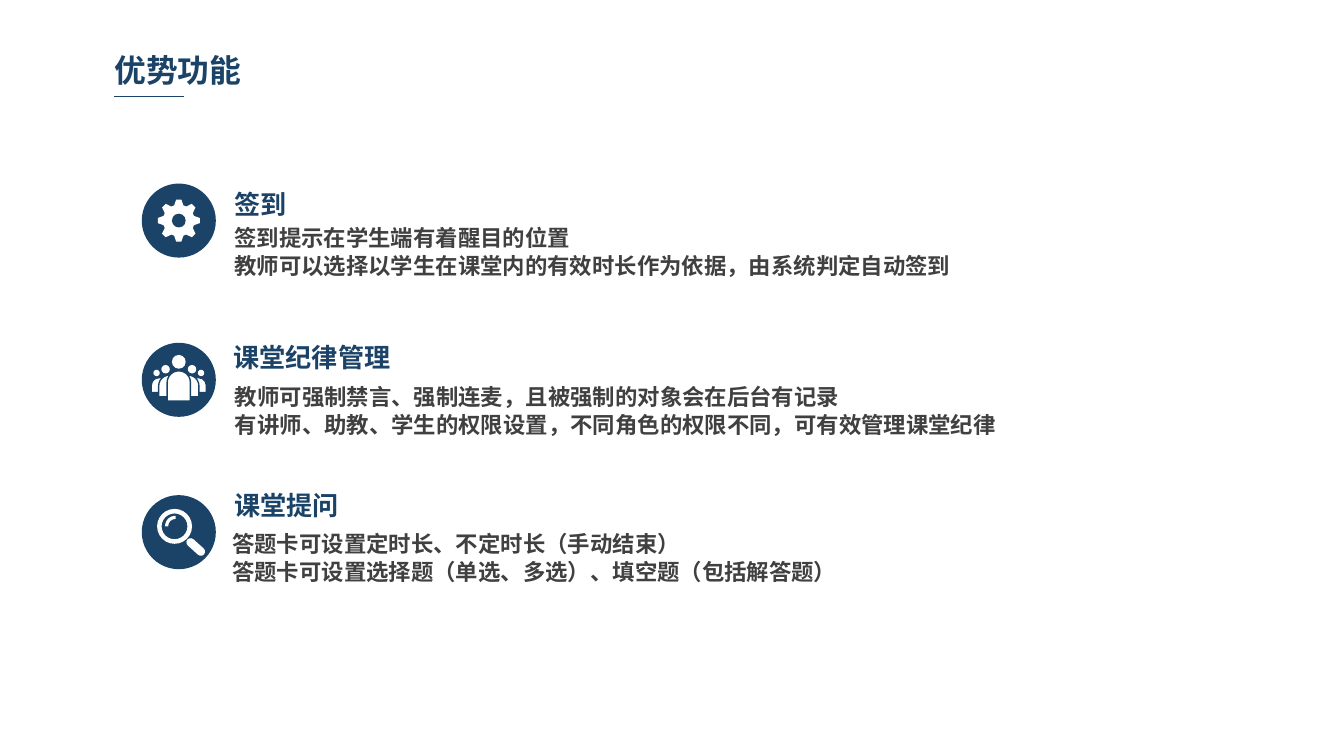
"""Build a slide of three classroom features with icons."""
import math

import lxml.etree
import pptx
import pptx.dml.color
import pptx.enum.shapes
import pptx.enum.text
import pptx.oxml.ns
import pptx.util

Cm = pptx.util.Cm
Pt = pptx.util.Pt
SHAPE = pptx.enum.shapes.MSO_SHAPE
qn = pptx.oxml.ns.qn

FONT = "Noto Sans CJK SC"
NAVY, WHITE, GREY = "1B4367", "FFFFFF", "404040"
DISC_R = 0.7
DISC_X = 3.38


def rgb(color):
    """Return a colour object for a hex string."""
    return pptx.dml.color.RGBColor.from_string(color)


def paint(sp, color, outline=None):
    """Give a shape a plain fill, an optional outline and no shadow."""
    sp.shadow.inherit = False
    sp.fill.solid()
    sp.fill.fore_color.rgb = rgb(color)
    if outline:
        sp.line.color.rgb = rgb(outline)
        sp.line.width = Pt(0.75)
    else:
        sp.line.fill.background()
    return sp


def add_centred(shapes, kind, cx, cy, w, h, color=WHITE, outline=None):
    """Add a preset shape around a centre point."""
    sp = shapes.add_shape(kind, Cm(cx - w / 2), Cm(cy - h / 2), Cm(w), Cm(h))
    return paint(sp, color, outline)


def add_circle(shapes, cx, cy, r, color=WHITE):
    """Add a filled circle."""
    return add_centred(shapes, SHAPE.OVAL, cx, cy, 2 * r, 2 * r, color)


def add_polar(shapes, cx, cy, polar):
    """Add a white outline from angles in degrees and radii."""
    points = [(Cm(cx + r * math.cos(math.radians(a))), Cm(cy + r * math.sin(math.radians(a))))
              for a, r in polar]
    builder = shapes.build_freeform(*points[0])
    builder.add_line_segments(points[1:], close=True)
    paint(builder.convert_to_shape(), WHITE)


def add_gear(shapes, cx, cy):
    """Add an eight-toothed gear with a hole."""
    tooth = ((-17, 0.3), (-7, 0.4), (7, 0.4), (17, 0.3))
    add_polar(shapes, cx, cy, [(45 * i + a, r) for i in range(8) for a, r in tooth])
    add_circle(shapes, cx, cy, 0.13, NAVY)


def add_people(shapes, cx, cy):
    """Add five people, the outer ones behind the middle one."""
    for half, top, bottom in ((0.52, -0.04, 0.24), (0.38, -0.09, 0.32), (0.22, -0.17, 0.4)):
        sp = add_centred(shapes, SHAPE.ROUND_2_SAME_RECTANGLE, cx, cy + (top + bottom) / 2,
                         2 * half, bottom - top, outline=NAVY)
        sp.adjustments[0] = 0.5
    for dx, dy, r in ((0, -0.34, 0.13), (0.25, -0.2, 0.08), (0.42, -0.13, 0.06)):
        for x in sorted({-dx, dx}):
            add_circle(shapes, cx + x, cy + dy, r)


def add_magnifier(shapes, cx, cy):
    """Add a magnifying glass with a glint."""
    x, y = cx - 0.08, cy - 0.11
    add_centred(shapes, SHAPE.DONUT, x, y, 0.66, 0.66).adjustments[0] = 0.13
    handle = add_centred(shapes, SHAPE.ROUNDED_RECTANGLE, cx + 0.32, cy + 0.28, 0.42, 0.16)
    handle.adjustments[0] = 0.5
    handle.rotation = 42
    angles = range(180, 271, 10)
    add_polar(shapes, x + 0.02, y, [(a, 0.2) for a in angles] + [(a, 0.14) for a in angles[::-1]])


def add_icon(s, cy, draw):
    """Add a grouped icon on a navy disc."""
    shapes = s.shapes.add_group_shape().shapes
    add_circle(shapes, DISC_X, cy, DISC_R, NAVY)
    draw(shapes, DISC_X, cy)


def write(sp, lines, size, color, spacing=None, wrap=True):
    """Write bold paragraphs into a text shape."""
    tf = sp.text_frame
    tf.margin_left = tf.margin_right = Cm(0.19)
    tf.margin_top = tf.margin_bottom = Cm(0.1)
    tf.word_wrap = wrap
    tf.auto_size = pptx.enum.text.MSO_AUTO_SIZE.NONE
    tf.vertical_anchor = pptx.enum.text.MSO_ANCHOR.TOP
    tf.text = "\n".join(lines)
    for p in tf.paragraphs:
        p.alignment = pptx.enum.text.PP_ALIGN.LEFT
        if spacing:
            p.line_spacing = Pt(spacing)
        p.font.size = Pt(size)
        p.font.bold = True
        p.font.color.rgb = rgb(color)
        p.font.name = FONT
        r_pr = p._p.pPr.find(qn("a:defRPr"))
        lxml.etree.SubElement(r_pr, qn("a:ea")).set("typeface", FONT)


def add_text(s, x, y, w, h, lines, size, color, **options):
    """Add a text box."""
    write(s.shapes.add_textbox(Cm(x), Cm(y), Cm(w), Cm(h)), lines, size, color, **options)


def add_title(s, text):
    """Place the title and the short rule under it."""
    sp = s.shapes.title
    sp.left, sp.top, sp.width, sp.height = Cm(1.97), Cm(0.86), Cm(6.27), Cm(0.91)
    write(sp, [text], 17, NAVY)
    rule = s.shapes.add_connector(pptx.enum.shapes.MSO_CONNECTOR.STRAIGHT,
                                  Cm(2.16), Cm(1.82), Cm(3.48), Cm(1.82))
    rule.line.color.rgb = rgb(NAVY)
    rule.line.width = Pt(0.75)
    lxml.etree.SubElement(rule._element.spPr, qn("a:effectLst"))


def main():
    """Build and save the slide."""
    prs = pptx.Presentation()
    prs.slide_width, prs.slide_height = Cm(25.4), Cm(14.29)
    s = prs.slides.add_slide(prs.slide_layouts[5])
    add_title(s, "优势功能")
    features = (
        (add_gear, 4.17, "签到", (4.24, 3.46), (4.24, 4.11),
         ("签到提示在学生端有着醒目的位置",
          "教师可以选择以学生在课堂内的有效时长作为依据，由系统判定自动签到")),
        (add_people, 7.18, "课堂纪律管理", (4.22, 6.36), (4.25, 7.13),
         ("教师可强制禁言、强制连麦，且被强制的对象会在后台有记录",
          "有讲师、助教、学生的权限设置，不同角色的权限不同，可有效管理课堂纪律")),
        (add_magnifier, 10.06, "课堂提问", (4.24, 9.16), (4.2, 9.9),
         ("答题卡可设置定时长、不定时长（手动结束）",
          "答题卡可设置选择题（单选、多选）、填空题（包括解答题）")),
    )
    for draw, cy, heading, heading_at, body_at, lines in features:
        add_icon(s, cy, draw)
        add_text(s, *heading_at, 0.38 + 0.5 * len(heading), 0.79, [heading], 14, NAVY, wrap=False)
        add_text(s, *body_at, 19, 1.2, lines, 12, GREY, spacing=15)
    prs.save("out.pptx")


if __name__ == "__main__":
    main()
